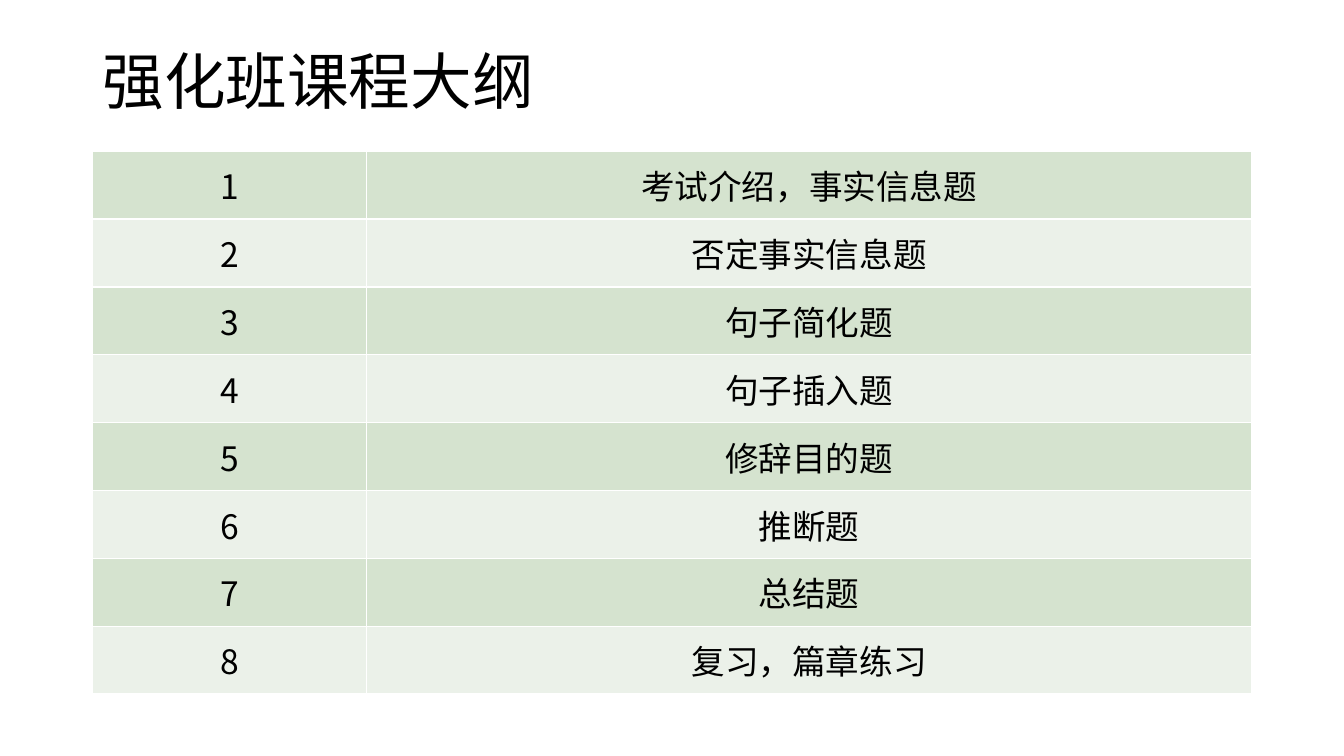
from dataclasses import dataclass

from lxml import etree
from pptx import Presentation
from pptx import util as u
from pptx.dml.color import RGBColor
from pptx.enum import text as t
from pptx.oxml import ns


@dataclass(frozen=True)
class Theme:
    font: str = "Noto Sans CJK SC"
    ink: str = "000000"
    rule: str = "FFFFFF"
    bands: tuple = ("D5E3CF", "EBF1E9")
    head: int = 44
    body: int = 24


TOPICS = [
    "考试介绍，事实信息题",
    "否定事实信息题",
    "句子简化题",
    "句子插入题",
    "修辞目的题",
    "推断题",
    "总结题",
    "复习，篇章练习",
]
LEFT = 2.33
COLS = (6.91, 22.3)
ROW = 1.71


def write(frame, words, theme, size, align=t.PP_ALIGN.LEFT, space=1.0):
    para = frame.paragraphs[0]
    para.alignment = align
    para.line_spacing = space
    run = para.add_run()
    run.text = words
    run.font.size = u.Pt(size)
    run.font.color.rgb = RGBColor.from_string(theme.ink)
    run.font.name = theme.font
    latin = run.font._element.find(ns.qn("a:latin"))
    east = etree.Element(ns.qn("a:ea"), typeface=theme.font)
    latin.addnext(east)


def edge(cell, color, width=1):
    """Draw the four borders of a cell; they must precede its fill."""
    props = cell._tc.get_or_add_tcPr()
    for spot, side in enumerate("LRTB"):
        line = etree.Element(ns.qn(f"a:ln{side}"), w=str(u.Pt(width)))
        fill = etree.SubElement(line, ns.qn("a:solidFill"))
        etree.SubElement(fill, ns.qn("a:srgbClr"), val=color)
        props.insert(spot, line)


class Deck:
    def __init__(self, theme):
        self.theme = theme
        self.file = Presentation()
        self.file.slide_width = u.Cm(33.87)
        self.file.slide_height = u.Cm(19.05)
        self.slide = self.file.slides.add_slide(self.file.slide_layouts[5])

    def title(self, words, x, y, w, h):
        box = self.slide.shapes.title
        box.left, box.top = u.Cm(x), u.Cm(y)
        box.width, box.height = u.Cm(w), u.Cm(h)
        frame = box.text_frame
        frame.word_wrap = True
        frame.auto_size = t.MSO_AUTO_SIZE.NONE
        frame.vertical_anchor = t.MSO_ANCHOR.MIDDLE
        write(frame, words, self.theme, self.theme.head, space=0.9)

    def table(self, rows, x, y, cols, high):
        grid = self.slide.shapes.add_table(
            len(rows), len(cols), u.Cm(x), u.Cm(y),
            u.Cm(sum(cols)), u.Cm(high * len(rows))).table
        grid.first_row = grid.horz_banding = False
        for col, wide in zip(grid.columns, cols):
            col.width = u.Cm(wide)
        for i, row in enumerate(rows):
            grid.rows[i].height = u.Cm(high)
            band = self.theme.bands[i % len(self.theme.bands)]
            for j, words in enumerate(row):
                self.cell(grid.cell(i, j), words, band)

    def cell(self, cell, words, band):
        cell.margin_left = cell.margin_right = 0
        cell.margin_top = cell.margin_bottom = 0
        cell.vertical_anchor = t.MSO_ANCHOR.MIDDLE
        cell.fill.solid()
        cell.fill.fore_color.rgb = RGBColor.from_string(band)
        edge(cell, self.theme.rule)
        write(cell.text_frame, words, self.theme, self.theme.body,
              align=t.PP_ALIGN.CENTER)


def main():
    deck = Deck(Theme())
    deck.title("强化班课程大纲", LEFT, 1.02, sum(COLS), 2.21)
    rows = [(str(n), topic) for n, topic in enumerate(TOPICS, 1)]
    deck.table(rows, LEFT, 3.81, COLS, ROW)
    deck.file.save("out.pptx")


if __name__ == "__main__":
    main()
